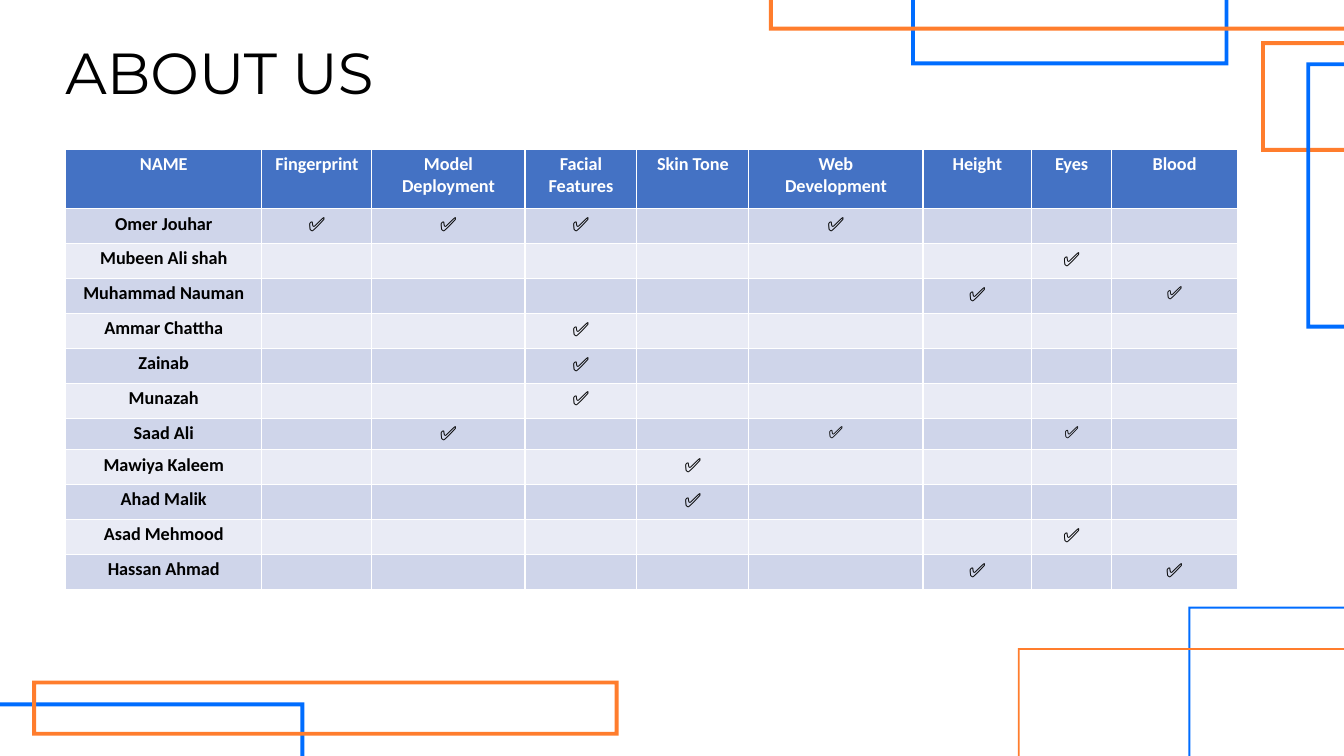
import pptx
import pptx.util
import pptx.dml.color
import pptx.enum.shapes
import pptx.enum.text
import lxml.etree

Cm = pptx.util.Cm
Pt = pptx.util.Pt
RGBColor = pptx.dml.color.RGBColor

BLUE = RGBColor(0x00, 0x6D, 0xFF)
ORANGE = RGBColor(0xFF, 0x7D, 0x2D)
HEADER = RGBColor(0x44, 0x72, 0xC4)
BANDS = (RGBColor(0xCF, 0xD5, 0xEA), RGBColor(0xE9, 0xEB, 0xF5))
BLACK = RGBColor(0, 0, 0)
WHITE = RGBColor(0xFF, 0xFF, 0xFF)

TITLE = "ABOUT US"
CHECK = "✅"
COLUMNS = [
    ("NAME", 4.95), ("Fingerprint", 2.77), ("Model Deployment", 3.86),
    ("Facial Features", 2.82), ("Skin Tone", 2.82), ("Web\nDevelopment", 4.39),
    ("Height", 2.74), ("Eyes", 2.01), ("Blood", 3.18),
]
MEMBERS = [
    ("Omer Jouhar", (1, 2, 3, 5)),
    ("Mubeen Ali shah", (7,)),
    ("Muhammad Nauman", (6, 8)),
    ("Ammar Chattha", (3,)),
    ("Zainab", (3,)),
    ("Munazah", (3,)),
    ("Saad Ali", (2, 5, 7)),
    ("Mawiya Kaleem", (4,)),
    ("Ahad Malik", (4,)),
    ("Asad Mehmood", (7,)),
    ("Hassan Ahmad", (6, 8)),
]
CHECK_FORMATS = {
    (3, 8): {"size": 13, "bold": False},
    (7, 5): {"size": 12},
    (7, 7): {"size": 12},
}
HEADER_HEIGHT, ROW_HEIGHT, SHORT_ROW_HEIGHT = 1.5, 0.88, 0.79
SHORT_ROW = 7
FRAMES = [
    (29.95, 15.29, 4.83, 4.83, 0.05, BLUE),
    (25.65, 16.33, 8.81, 3.3, 0.05, ORANGE),
    (22.96, -0.64, 8, 2.29, 0.1, BLUE),
    (-0.33, 17.7, 8, 1.8, 0.1, BLUE),
    (19.38, -0.62, 14.78, 1.39, 0.1, ORANGE),
    (0.81, 17.15, 14.78, 1.39, 0.1, ORANGE),
    (31.78, 1.04, 2.67, 2.79, 0.1, ORANGE),
    (32.92, 1.57, 1.55, 6.71, 0.1, BLUE),
]


def write(tf, text, size=13, font="Calibri", color=BLACK, bold=True,
          align=pptx.enum.text.PP_ALIGN.CENTER, spacing=None):
    for i, line in enumerate(text.split("\n")):
        p = tf.add_paragraph() if i else tf.paragraphs[0]
        p.alignment = align
        if spacing:
            p.line_spacing = Pt(spacing)
        if not line:
            end = lxml.etree.SubElement(p._p, pptx.oxml.ns.qn("a:endParaRPr"))
            end.set("sz", str(size * 100))
            continue
        r = p.add_run()
        r.text = line
        r.font.size = Pt(size)
        r.font.name = font
        r.font.bold = bold
        r.font.color.rgb = color


def add_frame(s, left, top, width, height, thickness, color):
    sp = s.shapes.add_shape(pptx.enum.shapes.MSO_SHAPE.FRAME,
                            Cm(left), Cm(top), Cm(width), Cm(height))
    sp.adjustments[0] = thickness / min(width, height)
    sp.shadow.inherit = False
    sp.fill.solid()
    sp.fill.fore_color.rgb = color
    sp.line.fill.background()


def add_title(s):
    sp = s.shapes.add_textbox(Cm(1.65), Cm(1.19), Cm(16.76), Cm(1.5))
    tf = sp.text_frame
    tf.word_wrap = True
    tf.margin_left = tf.margin_right = tf.margin_top = tf.margin_bottom = 0
    write(tf, TITLE, size=41.3, font="Montserrat", bold=False,
          align=pptx.enum.text.PP_ALIGN.LEFT, spacing=42.2)


def add_skills_table(s):
    heights = [HEADER_HEIGHT] + [ROW_HEIGHT] * len(MEMBERS)
    heights[SHORT_ROW] = SHORT_ROW_HEIGHT
    widths = [width for _, width in COLUMNS]
    table = s.shapes.add_table(len(heights), len(widths), Cm(1.65), Cm(3.76),
                               Cm(sum(widths)), Cm(sum(heights))).table
    for column, width in zip(table.columns, widths):
        column.width = Cm(width)
    for row, height in zip(table.rows, heights):
        row.height = Cm(height)
    for c, (heading, _) in enumerate(COLUMNS):
        fill_cell(table.cell(0, c), heading, HEADER, color=WHITE)
    for n, (name, skills) in enumerate(MEMBERS, 1):
        band = BANDS[(n - 1) % 2]
        fill_cell(table.cell(n, 0), name, band)
        for c in range(1, len(COLUMNS)):
            if c in skills:
                style = CHECK_FORMATS.get((n, c), {"size": 14})
                fill_cell(table.cell(n, c), CHECK, band, **style)
            else:
                fill_cell(table.cell(n, c), "", band, size=12)


def fill_cell(cell, text, background, **style):
    cell.fill.solid()
    cell.fill.fore_color.rgb = background
    cell.margin_left = cell.margin_right = Cm(0.2)
    cell.margin_top = cell.margin_bottom = Cm(0.1)
    write(cell.text_frame, text, **style)


def main():
    prs = pptx.Presentation()
    prs.slide_width, prs.slide_height = Cm(33.87), Cm(19.05)
    s = prs.slides.add_slide(prs.slide_layouts[6])
    for frame in FRAMES:
        add_frame(s, *frame)
    add_title(s)
    add_skills_table(s)
    prs.save("out.pptx")


if __name__ == "__main__":
    main()
